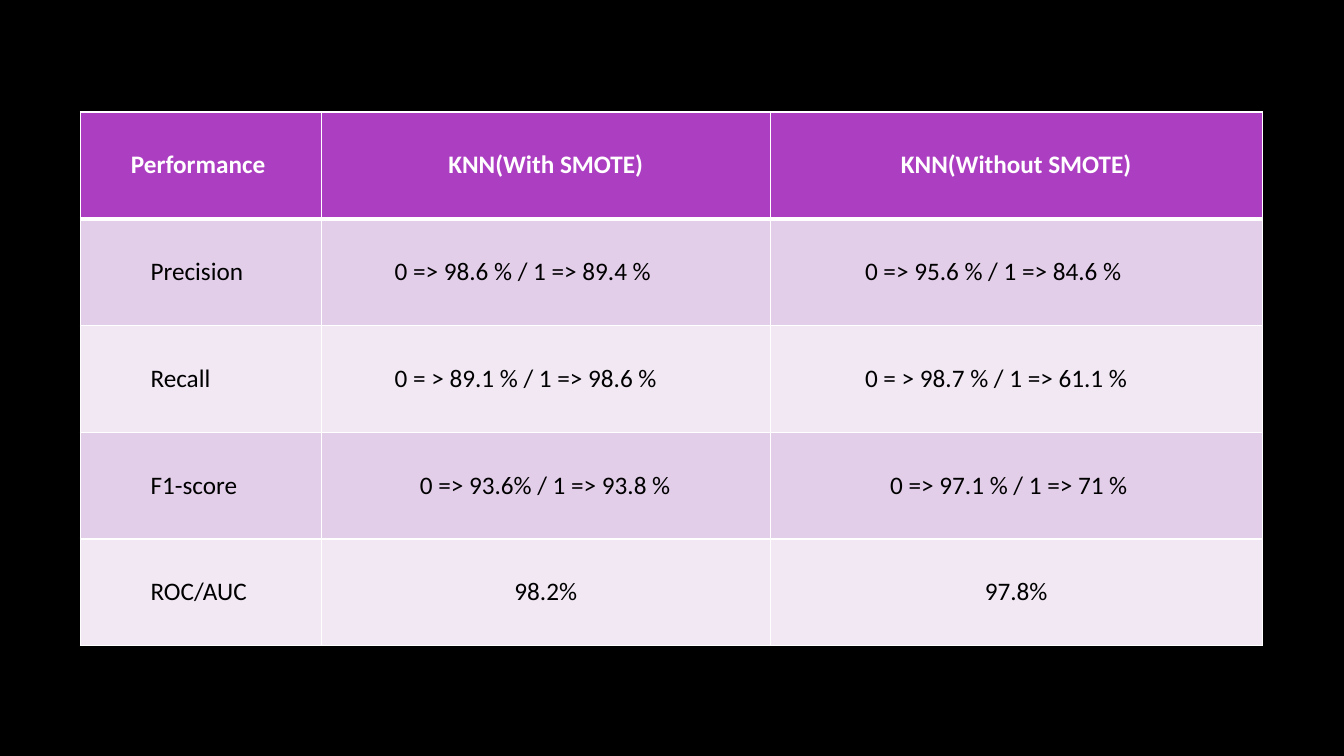
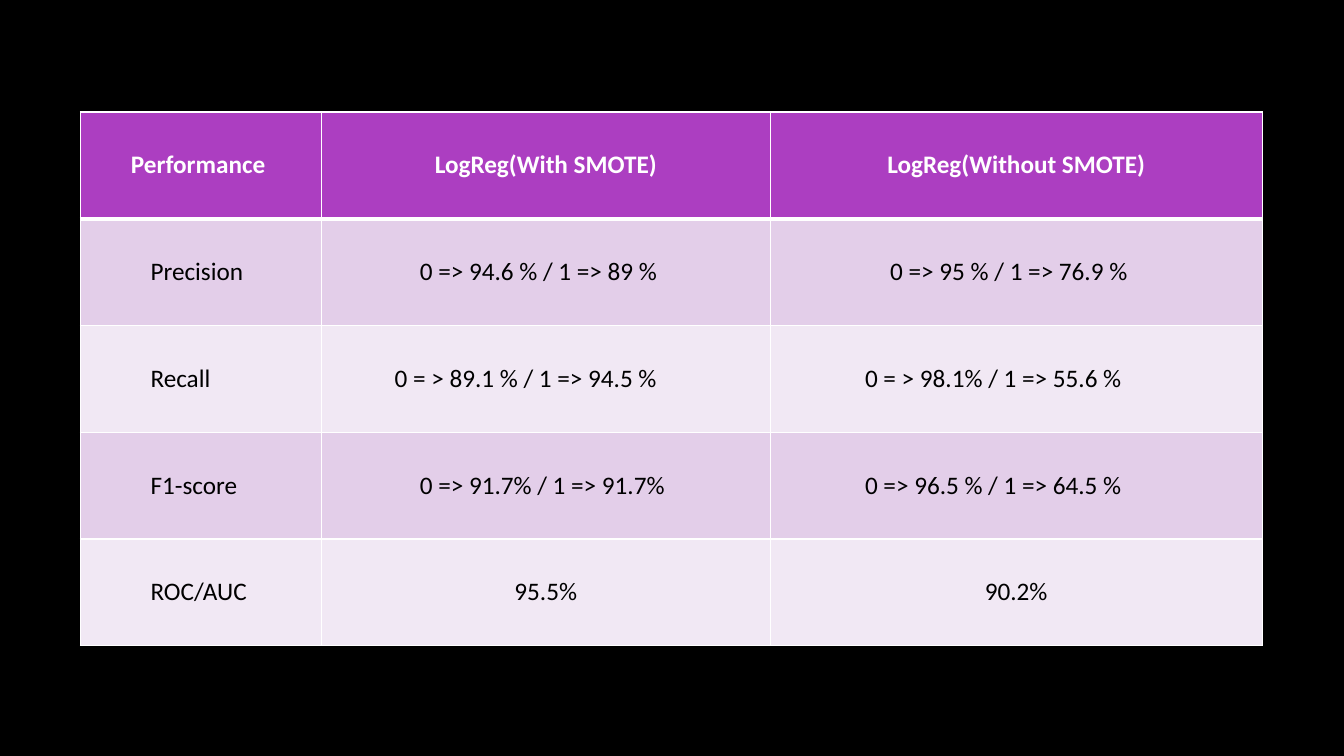
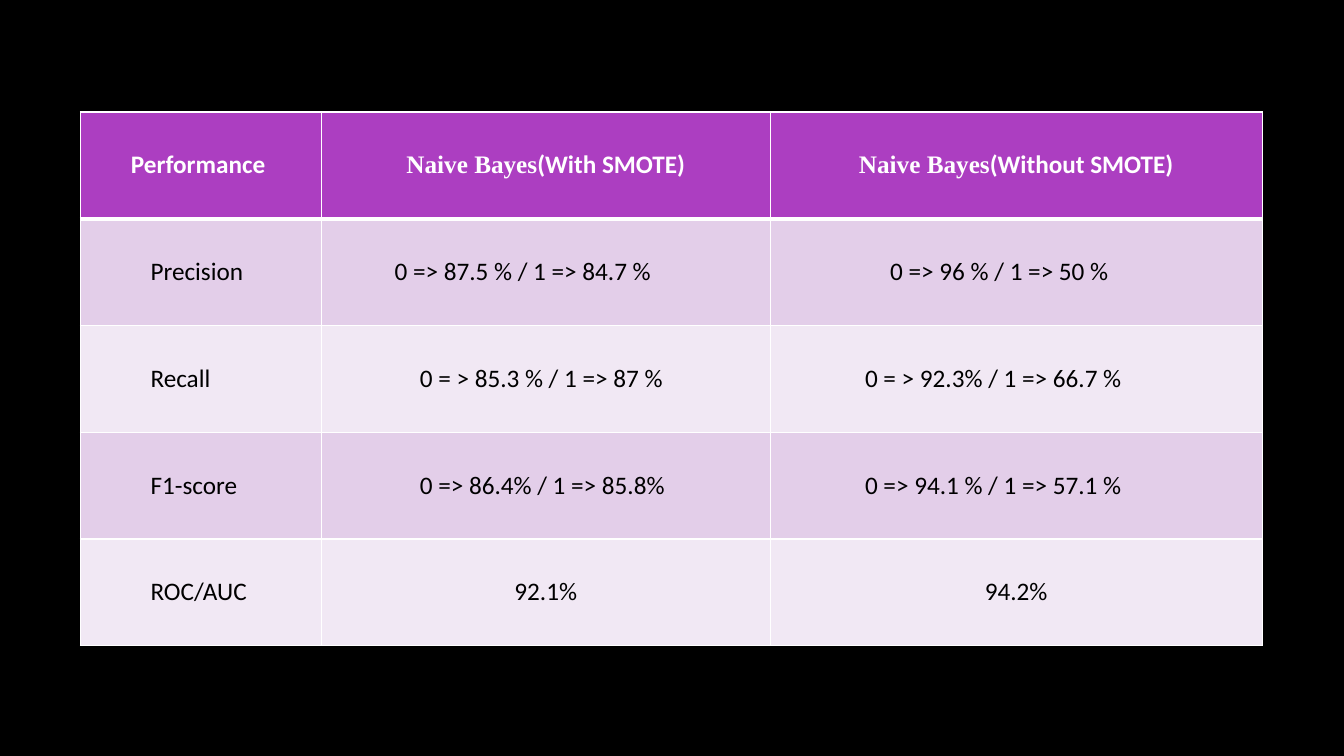
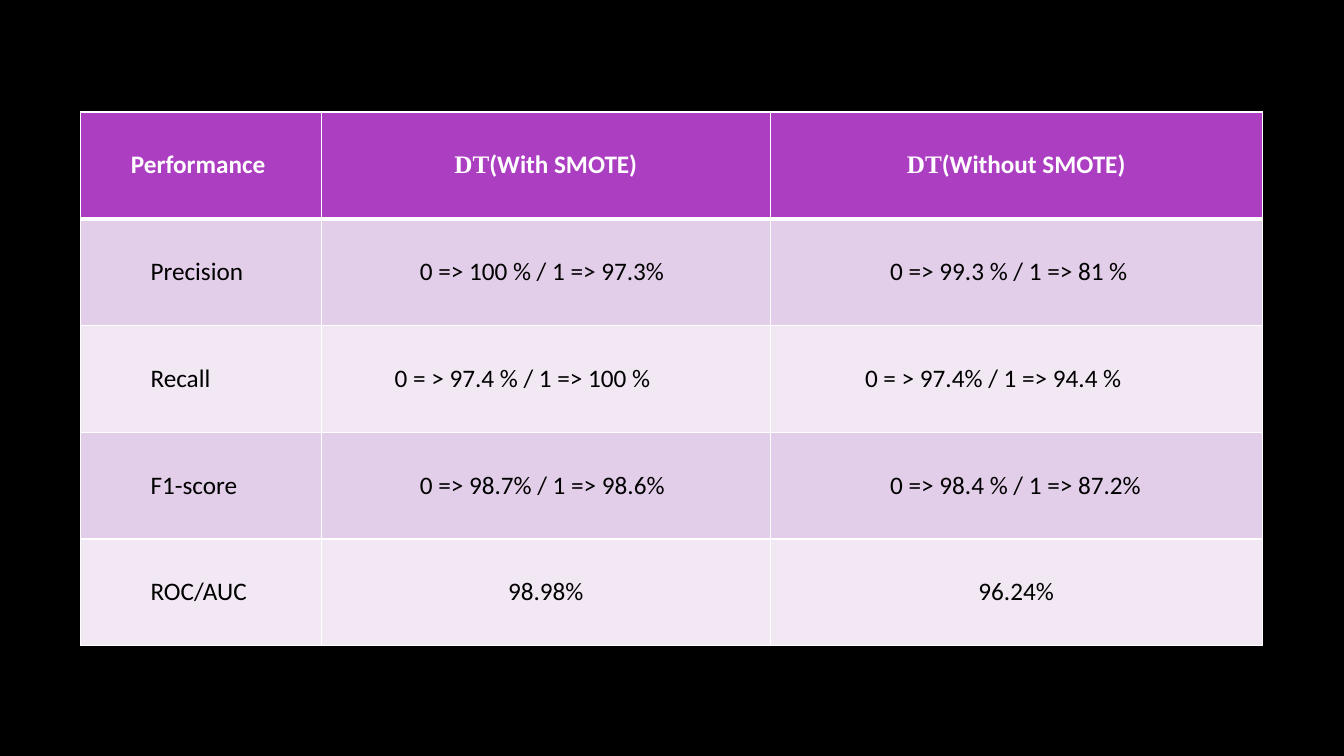
from dataclasses import dataclass

from lxml import etree
from pptx import Presentation
from pptx.dml.color import RGBColor
from pptx.enum.text import MSO_ANCHOR, PP_ALIGN
from pptx.oxml.ns import qn
from pptx.util import Cm, Pt

CENTER = PP_ALIGN.CENTER
MIDDLE = MSO_ANCHOR.MIDDLE


@dataclass(frozen=True)
class Theme:
    page: str = "000000"
    header: str = "AC3EC1"
    bands: tuple = ("E3CEE9", "F1E8F4")
    border: str = "FFFFFF"
    header_text: str = "FFFFFF"
    body_text: str = "000000"
    font: str = "Calibri"
    serif: str = "Times New Roman"
    size: int = 18
    thin: int = 1
    thick: int = 3


@dataclass(frozen=True)
class Box:
    left: int
    top: int
    width: int
    height: int


@dataclass(frozen=True)
class Model:
    name: str
    font: str
    precision: tuple
    recall: tuple
    f1_score: tuple
    roc_auc: tuple


THEME = Theme()
TABLE_BOX = Box(Cm(2.03), Cm(2.82), Cm(29.78), Cm(13.45))
COLUMN_WIDTHS = (6.07, 11.31, 12.4)
TAB = "\t"

MODELS = (
    Model(
        "KNN", THEME.font,
        ("0 => 98.6 % / 1 => 89.4 % ", "0 => 95.6 % / 1 => 84.6 % "),
        ("0 = > 89.1 % / 1 => 98.6 %", "0 = > 98.7 % / 1 => 61.1 %"),
        ("0 => 93.6% / 1 => 93.8 %", "0 => 97.1 % / 1 => 71 %"),
        ("98.2%", "97.8%"),
    ),
    Model(
        "LogReg", THEME.font,
        ("0 => 94.6 % / 1 => 89 % ", "0 => 95 % / 1 => 76.9 % "),
        ("0 = > 89.1 % / 1 => 94.5 %", "0 = > 98.1% / 1 => 55.6 %"),
        ("0 => 91.7% / 1 => 91.7%", "0 => 96.5 % / 1 => 64.5 %"),
        ("95.5%", "90.2%"),
    ),
    Model(
        "Naive Bayes", THEME.serif,
        ("0 => 87.5 % / 1 => 84.7 % ", "0 => 96 % / 1 => 50 % "),
        ("0 = > 85.3 % / 1 => 87 %", "0 = > 92.3% / 1 => 66.7 %"),
        ("0 => 86.4% / 1 => 85.8%", "0 => 94.1 % / 1 => 57.1 %"),
        ("92.1%", "94.2%"),
    ),
    Model(
        "DT", THEME.serif,
        ("0 => 100 % / 1 => 97.3% ", "0 => 99.3 % / 1 => 81 % "),
        ("0 = > 97.4 % / 1 => 100 %", "0 = > 97.4% / 1 => 94.4 %"),
        ("0 => 98.7% / 1 => 98.6%", "0 => 98.4 % / 1 => 87.2%"),
        ("98.98%", "96.24%"),
    ),
)


def set_borders(cell, top, bottom):
    properties = cell._tc.get_or_add_tcPr()
    widths = {"lnL": THEME.thin, "lnR": THEME.thin, "lnT": top, "lnB": bottom}
    for side, width in widths.items():
        line = etree.SubElement(properties, qn(f"a:{side}"), w=str(Pt(width)))
        fill = etree.SubElement(line, qn("a:solidFill"))
        etree.SubElement(fill, qn("a:srgbClr"), val=THEME.border)


def format_cell(cell, row):
    is_header = row == 0
    set_borders(
        cell,
        top=THEME.thick if row == 1 else THEME.thin,
        bottom=THEME.thick if is_header else THEME.thin,
    )
    cell.fill.solid()
    color = THEME.header if is_header else THEME.bands[(row - 1) % 2]
    cell.fill.fore_color.rgb = RGBColor.from_string(color)
    cell.vertical_anchor = MIDDLE
    para = cell.text_frame.paragraphs[0]
    para.alignment = CENTER
    para.font.name = THEME.font
    para.font.size = Pt(THEME.size)
    para.font.bold = is_header
    text_color = THEME.header_text if is_header else THEME.body_text
    para.font.color.rgb = RGBColor.from_string(text_color)
    return para


def table_rows(model):
    def heading(suffix):
        return ((model.name, model.font), (suffix, THEME.font))

    yield ((("Performance ", THEME.font),),
           heading("(With SMOTE)"), heading("(Without SMOTE)"))
    for label, values, ending in (
        ("Precision", model.precision, TAB),
        ("Recall", model.recall, TAB),
        ("F1-score", model.f1_score, TAB),
        ("ROC/AUC", model.roc_auc, ""),
    ):
        texts = (label + TAB, *(value + ending for value in values))
        yield tuple(((text, THEME.font),) for text in texts)


def add_performance_table(page, box, model):
    rows = list(table_rows(model))
    table = page.shapes.add_table(
        len(rows), len(COLUMN_WIDTHS), box.left, box.top, box.width, box.height
    ).table
    table.first_row = False
    table.horz_banding = False
    for column, width in zip(table.columns, COLUMN_WIDTHS):
        column.width = int(box.width * width / sum(COLUMN_WIDTHS))
    for row, contents in enumerate(rows):
        table.rows[row].height = box.height // len(rows)
        for column, spans in enumerate(contents):
            para = format_cell(table.cell(row, column), row)
            for text, font in spans:
                span = para.add_run()
                span.text = text
                if font != THEME.font:
                    span.font.name = font


def main():
    deck = Presentation()
    deck.slide_width = Cm(33.87)
    deck.slide_height = Cm(19.05)
    background = deck.slide_master.background.fill
    background.solid()
    background.fore_color.rgb = RGBColor.from_string(THEME.page)
    blank = deck.slide_layouts.get_by_name("Blank")
    for model in MODELS:
        add_performance_table(deck.slides.add_slide(blank), TABLE_BOX, model)
    deck.save("out.pptx")


if __name__ == "__main__":
    main()
